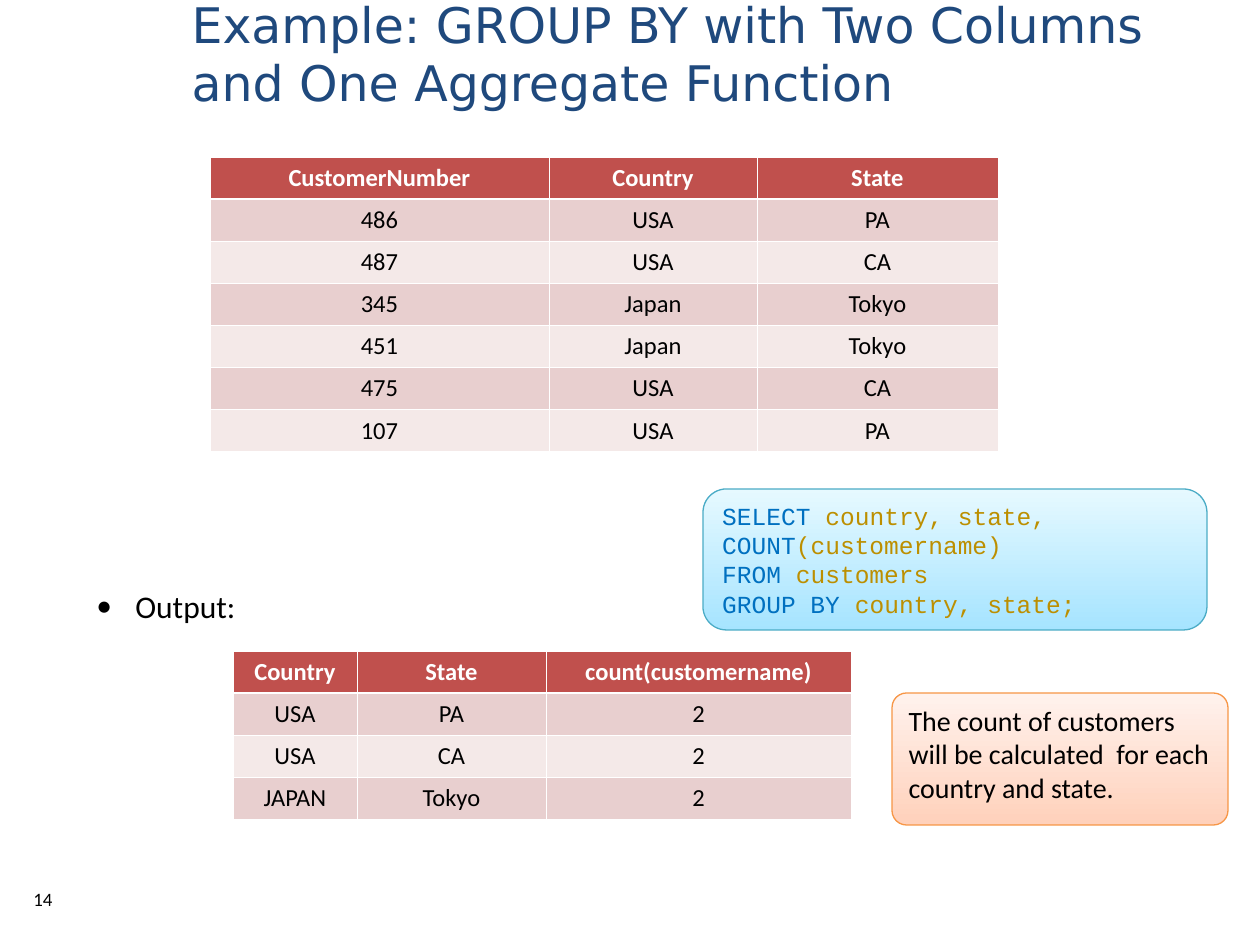
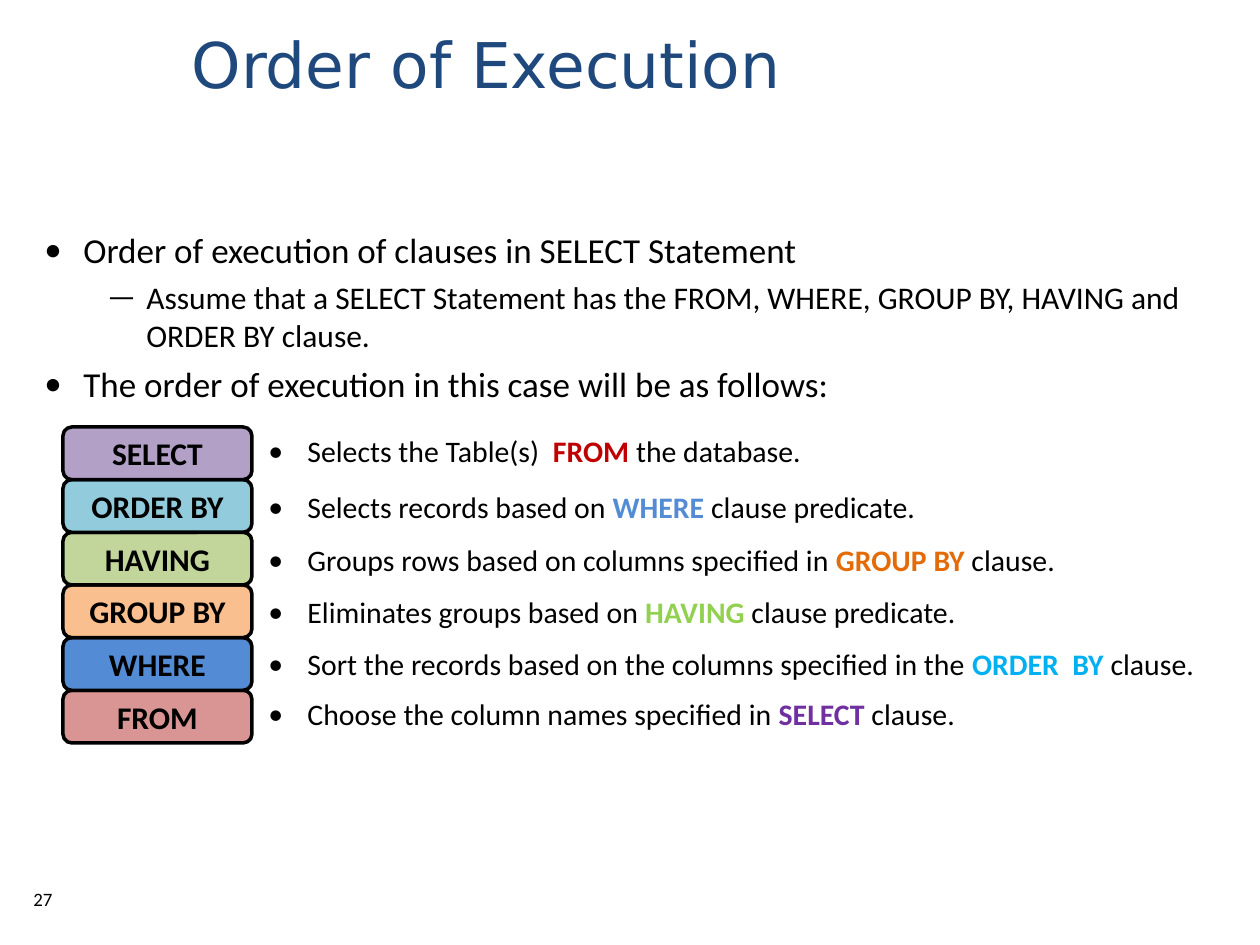
import lxml.etree
import pptx
import pptx.dml.color
import pptx.enum.shapes
import pptx.enum.text
import pptx.oxml.ns
import pptx.util

RGBColor = pptx.dml.color.RGBColor
ALIGN = pptx.enum.text.PP_ALIGN
ANCHOR = pptx.enum.text.MSO_ANCHOR

BLACK = RGBColor(0x00, 0x00, 0x00)
WHITE = RGBColor(0xFF, 0xFF, 0xFF)
NAVY = RGBColor(0x1F, 0x49, 0x7D)
HEADER_RED = RGBColor(0xC0, 0x50, 0x4D)
ROW_DARK = RGBColor(0xE8, 0xCF, 0xCF)
ROW_LIGHT = RGBColor(0xF4, 0xE9, 0xE8)
KEYWORD = RGBColor(0x00, 0x70, 0xC0)
IDENTIFIER = RGBColor(0xBC, 0x8F, 0x00)
CODE_LINE = RGBColor(0x4B, 0xAC, 0xC6)
CODE_GRADIENT = RGBColor(0xA6, 0xE4, 0xFF), RGBColor(0xE6, 0xF9, 0xFF)
NOTE_LINE = RGBColor(0xF7, 0x96, 0x46)
NOTE_GRADIENT = RGBColor(0xFF, 0xD1, 0xBB), RGBColor(0xFF, 0xF2, 0xED)

BODY_FONT = "Calibri"
CODE_FONT = "Courier New"
TITLE_FONT = "DejaVu Sans"
EMU_PER_PX = 914400 / 126
BULLET_INDENT = 39

# Content: boxes are (left, top, width, height) in px
GROUP_TITLE = "Example: GROUP BY with Two Columns and One Aggregate Function"
CUSTOMERS = {
    "at": (210, 157), "columns": (339, 208, 241),
    "rows": [
        ("CustomerNumber", "Country", "State"),
        ("486", "USA", "PA"),
        ("487", "USA", "CA"),
        ("345", "Japan", "Tokyo"),
        ("451", "Japan", "Tokyo"),
        ("475", "USA", "CA"),
        ("107", "USA", "PA"),
    ],
}
COUNTS = {
    "at": (233, 651), "columns": (124, 189, 305),
    "rows": [
        ("Country", "State", "count(customername)"),
        ("USA", "PA", "2"),
        ("USA", "CA", "2"),
        ("JAPAN", "Tokyo", "2"),
    ],
}
ROW_HEIGHT = 42
QUERY = [
    [("SELECT ", KEYWORD), ("country, state, ", IDENTIFIER),
     ("COUNT", KEYWORD), ("(customername)", IDENTIFIER)],
    [("FROM", KEYWORD), (" customers", IDENTIFIER)],
    [("GROUP BY ", KEYWORD), ("country, state;", IDENTIFIER)],
]
NOTE = "The count of customers will be calculated  for each country and state."

ORDER_TITLE = "Order of Execution"
# (text, size, space before, bullet, left margin)
INTRODUCTION = [
    ("Order of execution of clauses in SELECT Statement", 20, 5, "•", 39),
    ("Assume that a SELECT Statement has the FROM, WHERE, GROUP BY, HAVING "
     "and ORDER BY clause.", 18, 4.5, "—", 102),
    ("The order of execution in this case will be as follows:", 20, 5, "•", 39),
]
# Clauses in order of execution, stacked from the bottom up
CLAUSES = [
    ("FROM", RGBColor(0xD9, 0x95, 0x93)),
    ("WHERE", RGBColor(0x53, 0x8C, 0xD5)),
    ("GROUP BY", RGBColor(0xFA, 0xBF, 0x8E)),
    ("HAVING", RGBColor(0xC2, 0xD5, 0x9B)),
    ("ORDER BY", RGBColor(0x92, 0xCC, 0xDC)),
    ("SELECT", RGBColor(0xB2, 0xA0, 0xC7)),
]
STACK = (63, 427, 189, 316)
# (top, width, text before, clause, clause colour, text after)
STEPS = [
    (427, 798, "Selects the Table(s)  ", "FROM",
     RGBColor(0xC0, 0x00, 0x00), " the database."),
    (483, 798, "Selects records based on ", "WHERE ",
     RGBColor(0x53, 0x8C, 0xD5), "clause predicate."),
    (536, 903, "Groups rows based on columns specified in ", "GROUP BY ",
     RGBColor(0xE3, 0x6C, 0x09), "clause."),
    (588, 798, "Eliminates groups based on ", "HAVING",
     RGBColor(0x92, 0xD0, 0x50), " clause predicate."),
    (640, 966, "Sort the records based on the columns specified in the ",
     "ORDER  BY ", RGBColor(0x00, 0xB0, 0xF0), "clause."),
    (690, 798, "Choose the column names specified in ", "SELECT ",
     RGBColor(0x70, 0x30, 0xA0), "clause."),
]


def px(length):
    return pptx.util.Emu(round(length * EMU_PER_PX))


def place(box):
    return [px(length) for length in box]


def add_xml(parent, tag, **attributes):
    return lxml.etree.SubElement(parent, pptx.oxml.ns.qn(tag), attributes)


def style(paragraph, size, name=BODY_FONT, color=BLACK, bold=False,
          align=ALIGN.LEFT):
    paragraph.alignment = align
    font = paragraph.font
    font.size, font.name, font.bold = pptx.util.Pt(size), name, bold
    font.color.rgb = color


def add_bullet(paragraph, character, margin=BULLET_INDENT):
    """Give a hanging bullet; call before the paragraph font is set."""
    properties = paragraph._p.get_or_add_pPr()
    properties.set("marL", str(px(margin)))
    properties.set("indent", str(-px(BULLET_INDENT)))
    color = add_xml(properties, "a:buClr")
    add_xml(color, "a:srgbClr", val=str(BLACK))
    add_xml(properties, "a:buFont", typeface=BODY_FONT)
    add_xml(properties, "a:buChar", char=character)


def add_text_box(slide, box):
    frame = slide.shapes.add_textbox(*place(box)).text_frame
    frame.word_wrap = True
    return frame


def add_rounded_box(slide, box, line_color, line_width, anchor):
    shape = slide.shapes.add_shape(
        pptx.enum.shapes.MSO_SHAPE.ROUNDED_RECTANGLE, *place(box))
    shape.shadow.inherit = False
    shape.line.color.rgb = line_color
    shape.line.width = pptx.util.Pt(line_width)
    shape.text_frame.word_wrap = True
    shape.text_frame.vertical_anchor = anchor
    return shape


def fill_upward(shape, colors):
    shape.fill.gradient()
    shape.fill.gradient_angle = 90
    for stop, color in zip(shape.fill.gradient_stops, colors):
        stop.color.rgb = color


def add_borders(cell, row):
    """White rules, with a thicker one under the header row."""
    properties = cell._tc.get_or_add_tcPr()
    thick_sides = {0: "B", 1: "T"}
    for side in "LRTB":
        width = 1.47 if thick_sides.get(row) == side else 0.45
        line = add_xml(properties, "a:ln" + side, w=str(pptx.util.Pt(width)))
        fill = add_xml(line, "a:solidFill")
        add_xml(fill, "a:srgbClr", val=str(WHITE))


def add_data_table(slide, data):
    rows, columns = data["rows"], data["columns"]
    box = (*data["at"], sum(columns), ROW_HEIGHT * len(rows))
    table = slide.shapes.add_table(len(rows), len(columns), *place(box)).table
    for column, width in zip(table.columns, columns):
        column.width = px(width)
    for r, row in enumerate(rows):
        header = r == 0
        for c, text in enumerate(row):
            cell = table.cell(r, c)
            cell.text = text
            cell.vertical_anchor = ANCHOR.MIDDLE
            add_borders(cell, r)
            cell.fill.solid()
            cell.fill.fore_color.rgb = (
                HEADER_RED if header else ROW_DARK if r % 2 else ROW_LIGHT)
            style(cell.text_frame.paragraphs[0], 14, bold=header,
                  color=WHITE if header else BLACK, align=ALIGN.CENTER)


def add_slide(presentation, title, title_top, title_size, number):
    slide = presentation.slides.add_slide(presentation.slide_layouts[5])
    shape = slide.shapes.title
    shape.left, shape.top, shape.width, shape.height = place(
        (179, title_top, 1056, 106))
    frame = shape.text_frame
    frame.text = title
    frame.auto_size = pptx.enum.text.MSO_AUTO_SIZE.NONE
    frame.vertical_anchor = ANCHOR.MIDDLE
    style(frame.paragraphs[0], title_size, TITLE_FONT, NAVY)

    frame = add_text_box(slide, (21, 886, 63, 38))
    frame.text = str(number)
    frame.paragraphs[0].line_spacing = 0.8
    style(frame.paragraphs[0], 10.8)
    return slide


def build_group_by(presentation):
    slide = add_slide(presentation, GROUP_TITLE, 0, 28, 14)
    add_data_table(slide, CUSTOMERS)
    add_data_table(slide, COUNTS)

    frame = add_text_box(slide, (84, 581, 168, 50))
    frame.text = "Output:"
    add_bullet(frame.paragraphs[0], "•")
    style(frame.paragraphs[0], 18)

    note = add_rounded_box(slide, (892, 693, 336, 132), NOTE_LINE, 0.75,
                           ANCHOR.TOP)
    note.adjustments[0] = 0.11
    fill_upward(note, NOTE_GRADIENT)
    note.text_frame.text = NOTE
    style(note.text_frame.paragraphs[0], 16)

    code = add_rounded_box(slide, (703, 489, 504, 141), CODE_LINE, 0.75,
                           ANCHOR.MIDDLE)
    fill_upward(code, CODE_GRADIENT)
    frame = code.text_frame
    for i, parts in enumerate(QUERY):
        paragraph = frame.add_paragraph() if i else frame.paragraphs[0]
        style(paragraph, 14, CODE_FONT)
        for text, color in parts:
            run = paragraph.add_run()
            run.text = text
            run.font.color.rgb = color


def build_order(presentation):
    slide = add_slide(presentation, ORDER_TITLE, 10, 36, 27)
    frame = add_text_box(slide, (32, 222, 1197, 205))
    for i, (text, size, space, bullet, margin) in enumerate(INTRODUCTION):
        paragraph = frame.add_paragraph() if i else frame.paragraphs[0]
        paragraph.text = text
        paragraph.space_before = pptx.util.Pt(space)
        add_bullet(paragraph, bullet, margin)
        style(paragraph, size)

    left, top, width, height = STACK
    step = height / len(CLAUSES)
    for i, (clause, color) in enumerate(CLAUSES, start=1):
        box = (left, top + height - i * step, width, step)
        shape = add_rounded_box(slide, box, BLACK, 2, ANCHOR.MIDDLE)
        shape.fill.solid()
        shape.fill.fore_color.rgb = color
        shape.text_frame.text = clause
        style(shape.text_frame.paragraphs[0], 18, bold=True,
              align=ALIGN.CENTER)

    for top, width, before, clause, color, after in STEPS:
        paragraph = add_text_box(slide, (256, top, width, 49)).paragraphs[0]
        add_bullet(paragraph, "•")
        style(paragraph, 17)
        for text in (before, clause, after):
            run = paragraph.add_run()
            run.text = text
            if text == clause:
                run.font.bold = True
                run.font.color.rgb = color


def main():
    presentation = pptx.Presentation()
    presentation.slide_width, presentation.slide_height = place((1260, 945))
    build_group_by(presentation)
    build_order(presentation)
    presentation.save("out.pptx")


if __name__ == "__main__":
    main()
